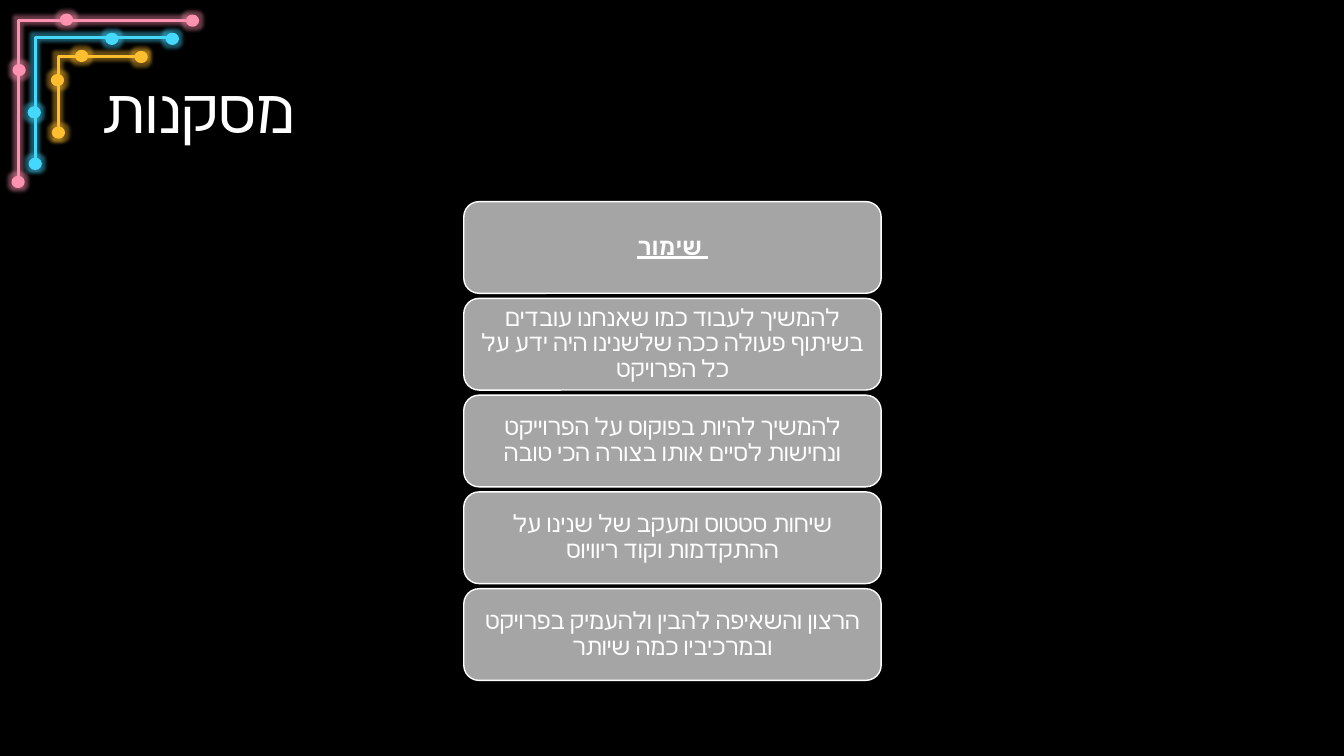
"""Builds the conclusions slide: a circuit corner, a title and a column of cards."""
from lxml.etree import SubElement
from pptx import Presentation
from pptx.dml.color import RGBColor
from pptx.enum.shapes import MSO_SHAPE
from pptx.enum.text import MSO_ANCHOR, PP_ALIGN
from pptx.oxml.ns import qn
from pptx.util import Inches, Pt


def paint(color_format, value):
    color_format.rgb = RGBColor.from_string(value)


def write(frame, text, size, align, rtl):
    frame.word_wrap = True
    frame.vertical_anchor = MSO_ANCHOR.MIDDLE
    paragraph = frame.paragraphs[0]
    paragraph.alignment = align
    paragraph.line_spacing = 0.9
    if rtl:
        paragraph._p.get_or_add_pPr().set("rtl", "1")
    run = paragraph.add_run()
    run.text = text
    run.font.size = Pt(size)
    run.font.name = "Calibri"
    SubElement(run._r.get_or_add_rPr(), qn("a:cs"), typeface="Calibri")
    run.font.fill.solid()
    paint(run.font.fill.fore_color, "FFFFFF")
    return run


deck = Presentation()
deck.slide_width, deck.slide_height = Inches(13.33), Inches(7.5)
slide = deck.slides.add_slide(deck.slide_layouts[6])
slide.background.fill.solid()
paint(slide.background.fill.fore_color, "000000")

circuits = [
    ("45D8FF", "45D8FF", (0.35, 0.37, 1.68, 1.66),
     [(0.3, 1.58), (1.66, 0.34), (0.29, 1.07), (1.06, 0.34)]),
    ("FF91B0", "FF93B2", (0.18, 0.2, 1.85, 1.83),
     [(0.13, 1.76), (1.86, 0.16), (0.61, 0.15), (0.14, 0.65)]),
    ("FFBD30", "FFBD30", (0.58, 0.56, 1.45, 1.37),
     [(0.53, 1.27), (0.52, 0.75), (1.35, 0.52), (0.76, 0.51)]),
]
for wire_color, node_color, (left, top, right, bottom), nodes in circuits:
    outline = slide.shapes.build_freeform(Inches(left), Inches(bottom))
    outline.add_line_segments(
        [(Inches(left), Inches(top)), (Inches(right), Inches(top))], close=False)
    wire = outline.convert_to_shape()
    wire.fill.background()
    pieces = [wire]
    for x, y in nodes:
        node = slide.shapes.add_shape(
            MSO_SHAPE.OVAL, Inches(x), Inches(y), Inches(0.1), Inches(0.09))
        node.fill.solid()
        paint(node.fill.fore_color, node_color)
        pieces.append(node)
    for piece in pieces:
        piece.line.width = Pt(2.25)
        paint(piece.line.color, wire_color)
        piece.shadow.inherit = False
        effects = piece._element.spPr.find(qn("a:effectLst"))
        glow = SubElement(effects, qn("a:glow"), rad=str(Pt(5)))
        glow_color = SubElement(glow, qn("a:srgbClr"), val=wire_color)
        SubElement(glow_color, qn("a:alpha"), val="40000")

title = slide.shapes.add_textbox(Inches(0.92), Inches(0.4), Inches(11.5), Inches(1.45))
write(title.text_frame, "מסקנות", 44, PP_ALIGN.LEFT, True)

conclusions = [
    ("שימור ", False),
    ("להמשיך לעבוד כמו שאנחנו עובדים בשיתוף פעולה ככה שלשנינו היה ידע על כל הפרויקט", False),
    ("להמשיך להיות בפוקוס על הפרוייקט ונחישות לסיים אותו בצורה הכי טובה", True),
    ("שיחות סטטוס ומעקב של שנינו על ההתקדמות וקוד ריוויוס", True),
    ("הרצון והשאיפה להבין ולהעמיק בפרויקט ובמרכיביו כמה שיותר", False),
]
for row, (conclusion, rtl) in enumerate(conclusions):
    card = slide.shapes.add_shape(
        MSO_SHAPE.ROUNDED_RECTANGLE,
        Inches(4.6), Inches(2 + 0.96 * row), Inches(4.14), Inches(0.91))
    card.shadow.inherit = False
    card.fill.solid()
    paint(card.fill.fore_color, "A5A5A5")
    card.line.width = Pt(1)
    paint(card.line.color, "FFFFFF")
    frame = card.text_frame
    frame.margin_left = frame.margin_right = Inches(0.07)
    frame.margin_top = frame.margin_bottom = Inches(0.04)
    run = write(frame, conclusion, 17, PP_ALIGN.CENTER, rtl)
    if row == 0:
        run.font.bold = True
        run.font.underline = True

deck.save("out.pptx")
